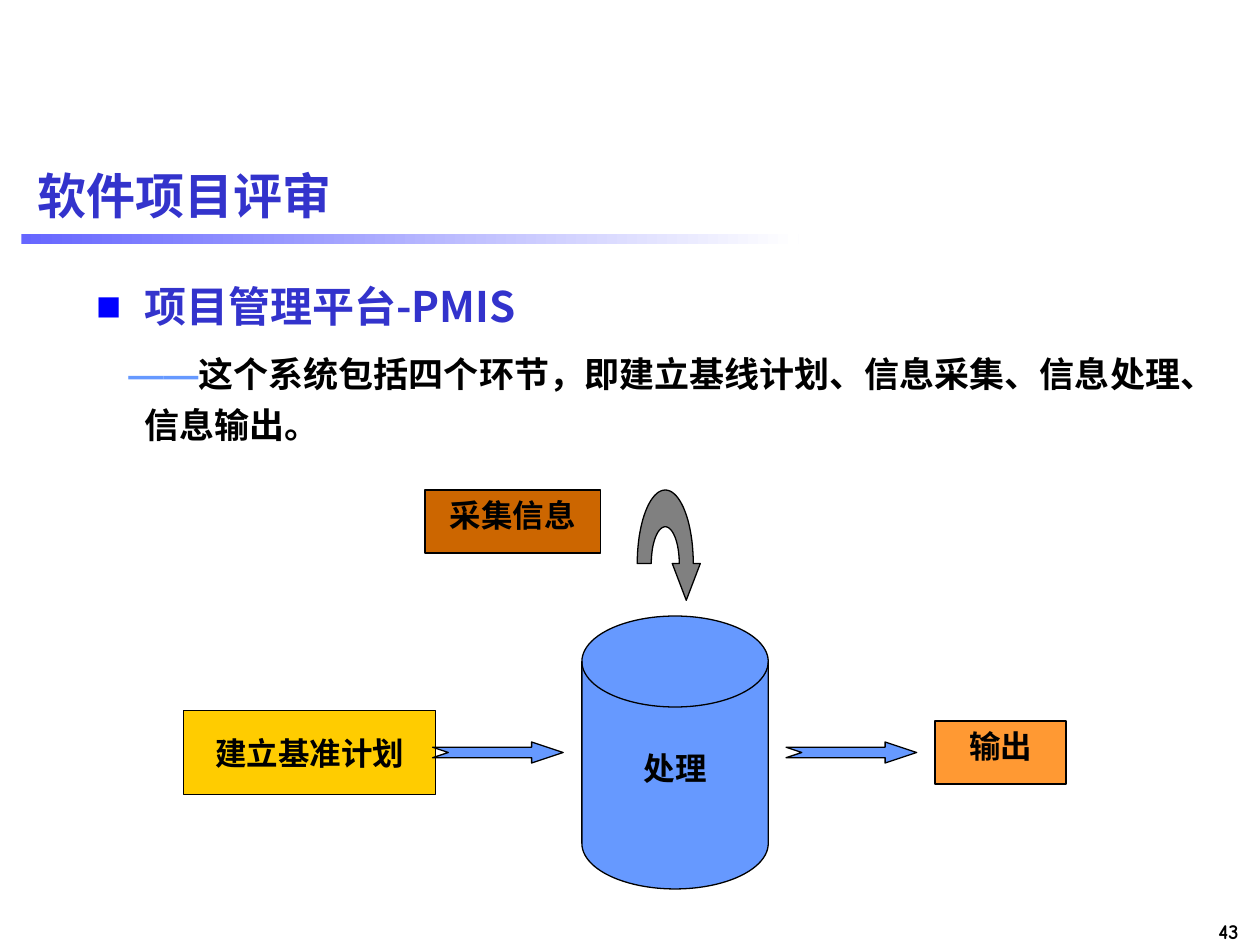
import math

from lxml import etree
from pptx import Presentation
from pptx.dml.color import RGBColor
from pptx.enum.shapes import MSO_SHAPE
from pptx.enum.text import MSO_ANCHOR, MSO_AUTO_SIZE, PP_ALIGN
from pptx.oxml.ns import qn
from pptx.util import Pt

RECT = MSO_SHAPE.RECTANGLE
DISK = MSO_SHAPE.FLOWCHART_MAGNETIC_DISK
ARROW = MSO_SHAPE.NOTCHED_RIGHT_ARROW
TOP, MIDDLE = MSO_ANCHOR.TOP, MSO_ANCHOR.MIDDLE
LEFT, CENTER, RIGHT = PP_ALIGN.LEFT, PP_ALIGN.CENTER, PP_ALIGN.RIGHT
NO_FIT = MSO_AUTO_SIZE.NONE

CJK = "Noto Sans CJK SC"
BLACK, INDIGO, SKY = "000000", "3333CC", "6699FF"


def color(value):
    return RGBColor.from_string(value)


def add_text(paragraph, text, size=18, font=CJK, east_asian=CJK, ink=BLACK, align=None):
    if align is not None:
        paragraph.alignment = align
    run = paragraph.add_run()
    run.text = text
    run.font.size = Pt(size)
    run.font.bold = True
    run.font.name = font
    run.font.color.rgb = color(ink)
    etree.SubElement(run.font._element, qn("a:ea"), typeface=east_asian)


def set_bullet(paragraph, margin, indent, char=None, ink=None):
    properties = paragraph._p.get_or_add_pPr()
    properties.set("marL", str(Pt(margin)))
    properties.set("indent", str(Pt(indent)))
    if char is None:
        etree.SubElement(properties, qn("a:buNone"))
        return
    tint = etree.SubElement(properties, qn("a:buClr"))
    etree.SubElement(tint, qn("a:srgbClr"), val=ink)
    etree.SubElement(properties, qn("a:buSzPct"), val="60000")
    etree.SubElement(properties, qn("a:buFont"), typeface=CJK)
    etree.SubElement(properties, qn("a:buChar"), char=char)


def half_ellipse(center_x, center_y, radius_x, radius_y, steps=40):
    angles = [math.pi * step / steps for step in range(steps + 1)]
    return [(center_x - radius_x * math.cos(a), center_y - radius_y * math.sin(a))
            for a in angles]


class SlideBuilder:
    def __init__(self, slide):
        self.slide = slide
        self.line_width = Pt(0.75)

    def outline(self, shape, fill):
        shape.shadow.inherit = False
        shape.fill.solid()
        shape.fill.fore_color.rgb = color(fill)
        shape.line.color.rgb = color(BLACK)
        shape.line.width = self.line_width
        return shape

    def placeholder(self, index, box, anchor):
        holder = self.slide.placeholders[index]
        holder.left, holder.top, holder.width, holder.height = map(Pt, box)
        frame = holder.text_frame
        frame.word_wrap = True
        frame.auto_size = NO_FIT
        frame.vertical_anchor = anchor
        return frame

    def label(self, box, text, **style):
        frame = self.slide.shapes.add_textbox(*map(Pt, box)).text_frame
        frame.word_wrap = False
        add_text(frame.paragraphs[0], text, **style)

    def gradient_bar(self, box, start, end):
        bar = self.slide.shapes.add_shape(RECT, *map(Pt, box))
        bar.shadow.inherit = False
        bar.line.fill.background()
        bar.fill.gradient()
        bar.fill.gradient_angle = 0
        for stop, position, ink in zip(bar.fill.gradient_stops, (0, 1), (start, end)):
            stop.position = position
            stop.color.rgb = color(ink)

    def node(self, kind, box, fill, text, anchor=TOP, inset_top=3.6):
        shape = self.outline(self.slide.shapes.add_shape(kind, *map(Pt, box)), fill)
        frame = shape.text_frame
        frame.word_wrap = True
        frame.vertical_anchor = anchor
        frame.margin_top = Pt(inset_top)
        add_text(frame.paragraphs[0], text, font="Times New Roman", align=CENTER)

    def flow_arrow(self, box):
        shape = self.outline(self.slide.shapes.add_shape(ARROW, *map(Pt, box)), SKY)
        shape.adjustments[0] = 0.5
        shape.adjustments[1] = 1.5

    def curved_arrow(self, center_x, base_y, radius_x, radius_y, fill):
        inner = half_ellipse(center_x, base_y, radius_x / 2, radius_y / 2)
        outer = half_ellipse(center_x, base_y, radius_x, radius_y)
        head_x = center_x + radius_x * 0.75
        head = [(head_x + radius_x / 2, base_y),
                (head_x, base_y + radius_y / 2),
                (head_x - radius_x / 2, base_y)]
        points = [(Pt(x), Pt(y)) for x, y in outer + head + inner[::-1]]
        path = self.slide.shapes.build_freeform(*points[0])
        path.add_line_segments(points[1:], close=True)
        self.outline(path.convert_to_shape(), fill)


def main():
    deck = Presentation()
    deck.slide_width, deck.slide_height = Pt(720), Pt(540)
    builder = SlideBuilder(deck.slides.add_slide(deck.slide_layouts[1]))

    builder.label((648.7, 521.3, 66.2, 21.6), "43", size=12,
                  font="Comic Neue", align=RIGHT)
    builder.gradient_bar((12.2, 133.9, 444.2, 5.8), "6666FF", "FFFFFF")

    title = builder.placeholder(0, (14.4, 82.8, 691.9, 56.9), MIDDLE)
    add_text(title.paragraphs[0], "软件项目评审", size=28, font="Arial",
             ink=INDIGO, align=LEFT)

    body = builder.placeholder(1, (48.2, 151.2, 658.1, 388.8), TOP)
    platform = body.paragraphs[0]
    set_bullet(platform, 27, -27, "■", "0000FF")
    platform.line_spacing = 1.2
    add_text(platform, "项目管理平台-PMIS", size=24, ink=INDIGO)

    stages = body.add_paragraph()
    set_bullet(stages, 27, -9)
    stages.line_spacing = 1.2
    stages.space_before = Pt(7.5)
    add_text(stages, "——", size=20, font="Arial", east_asian="Arial", ink=SKY)
    add_text(stages, "这个系统包括四个环节，即建立基线计划、信息采集、信息处理、信息输出。", size=20)

    builder.node(RECT, (105, 406, 144, 48), "FFCC00", "建立基准计划", anchor=MIDDLE)
    builder.node(RECT, (534.3, 412, 74.8, 36), "FF9933", "输出")
    builder.node(RECT, (242.8, 280, 100.2, 36), "CC6600", "采集信息")
    builder.curved_arrow(380.2, 322, 16, 42, "808080")
    builder.node(DISK, (332.5, 352, 106.5, 156), SKY, "处理", inset_top=24)
    for arrow_left in (247.2, 449.2):
        builder.flow_arrow((arrow_left, 424, 74.6, 12))

    deck.save("out.pptx")


if __name__ == "__main__":
    main()
